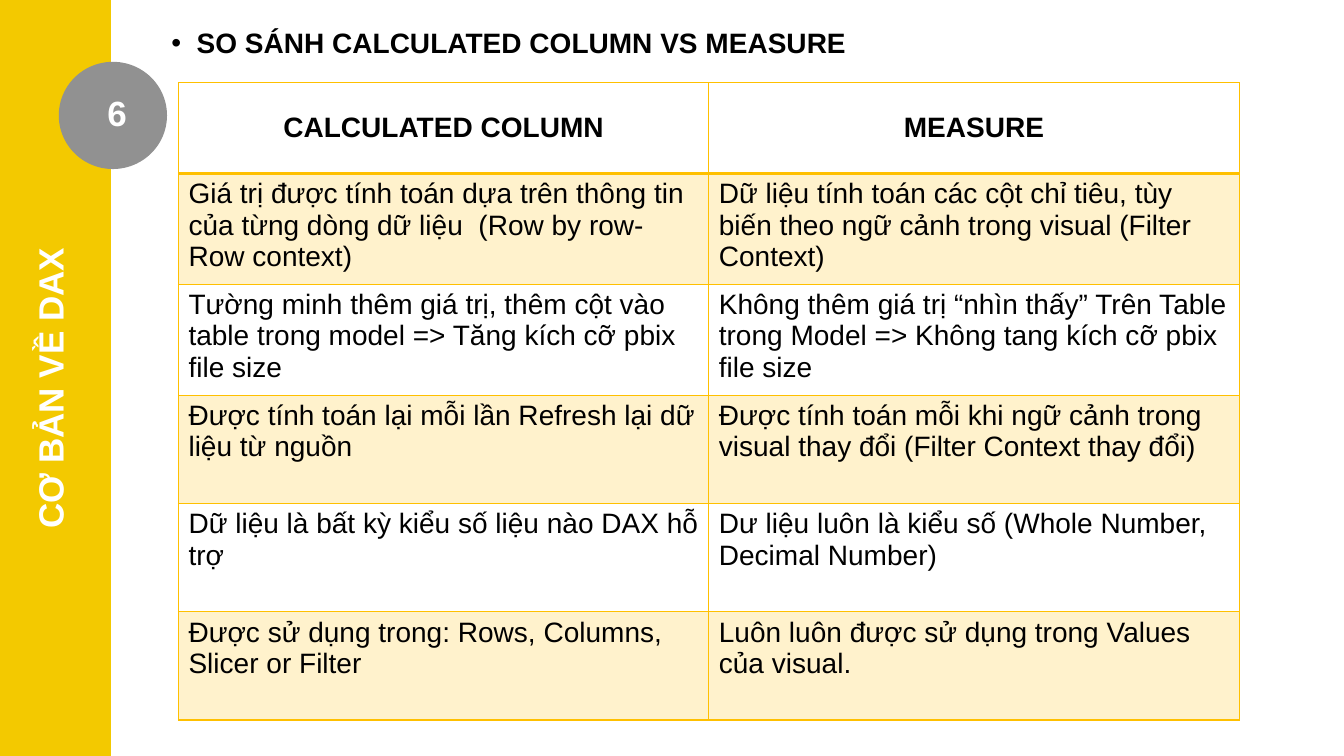
import pptx
import pptx.dml.color
import pptx.enum.shapes
import pptx.enum.text
import pptx.oxml
import pptx.oxml.ns
import pptx.util
from dataclasses import dataclass
from lxml import etree

Inches = pptx.util.Inches
ALIGN = pptx.enum.text.PP_ALIGN
ANCHOR = pptx.enum.text.MSO_ANCHOR
SHAPE = pptx.enum.shapes.MSO_SHAPE


@dataclass(frozen=True)
class Theme:
    """Colours and type sizes of the slide."""
    font: str = "Arial"
    band: str = "F3C900"
    badge: str = "919191"
    accent: str = "FFC000"
    dark: str = "000000"
    light: str = "FFFFFF"
    tint_percent: int = 20
    body_size: int = 20
    label_size: int = 25


THEME = Theme()

COMPARISON = [
    ("CALCULATED COLUMN", "MEASURE"),
    ("Giá trị được tính toán dựa trên thông tin của từng dòng dữ liệu  (Row by row- Row context)",
     "Dữ liệu tính toán các cột chỉ tiêu, tùy biến theo ngữ cảnh trong visual (Filter Context)"),
    ("Tường minh thêm giá trị, thêm cột vào table trong model => Tăng kích cỡ pbix file size",
     "Không thêm giá trị “nhìn thấy” Trên Table trong Model => Không tang kích cỡ pbix file size"),
    ("Được tính toán lại mỗi lần Refresh lại dữ liệu từ nguồn",
     "Được tính toán mỗi khi ngữ cảnh trong visual thay đổi (Filter Context thay đổi)"),
    ("Dữ liệu là bất kỳ kiểu số liệu nào DAX hỗ trợ",
     "Dư liệu luôn là kiểu số (Whole Number, Decimal Number)"),
    ("Được sử dụng trong: Rows, Columns, Slicer or Filter",
     "Luôn luôn được sử dụng trong Values của visual."),
]


def apply(target, values):
    """Set each attribute named in values on the target."""
    for name, value in values.items():
        setattr(target, name, value)


def rgb(colour):
    """Turn a hex string into a colour value."""
    return pptx.dml.color.RGBColor.from_string(colour)


def write(text_frame, text, size, colour, bold=True, align=ALIGN.LEFT):
    """Put one formatted paragraph in a text frame and return it."""
    paragraph = text_frame.paragraphs[0]
    paragraph.alignment = align
    run = paragraph.add_run()
    run.text = text
    apply(run.font, {"name": THEME.font, "size": pptx.util.Pt(size), "bold": bold})
    run.font.color.rgb = rgb(colour)
    return paragraph


def add_plain_shape(slide, kind, box, colour):
    """Draw a flat shape whose line matches its fill."""
    shape = slide.shapes.add_shape(kind, *map(Inches, box))
    shape.shadow.inherit = False
    shape.fill.solid()
    shape.fill.fore_color.rgb = rgb(colour)
    shape.line.color.rgb = rgb(colour)
    shape.line.width = pptx.util.Pt(1)


def add_label(slide, text, box, rotation=0):
    """Add a centred light label, turned by the given angle."""
    label = slide.shapes.add_textbox(*map(Inches, box))
    label.rotation = rotation
    apply(label.text_frame, {
        "word_wrap": True, "margin_left": 0, "margin_right": 0,
        "margin_top": Inches(0.08), "margin_bottom": Inches(0.08)})
    write(label.text_frame, text, THEME.label_size, THEME.light, align=ALIGN.CENTER)


def add_sidebar(slide, box):
    """Draw the side band with its section name and number badge."""
    left, top, width, height = box
    add_plain_shape(slide, SHAPE.RECTANGLE, box, THEME.band)
    add_plain_shape(slide, SHAPE.OVAL, (left + 0.59, top + 0.62, 1.06, 1.05), THEME.badge)
    add_label(slide, "6", (left + 0.92, top + 0.83, 0.48, 0.58))
    label_width, label_height = 4.73, 0.68
    add_label(slide, "CƠ BẢN VỀ DAX",
              (left + width / 2 - label_width / 2, top + height / 2 + 0.1 - label_height / 2,
               label_width, label_height), rotation=270)


def add_heading(slide, box):
    """Place the title as a bulleted heading."""
    title = slide.shapes.title
    apply(title, dict(zip(("left", "top", "width", "height"), map(Inches, box))))
    apply(title.text_frame, {
        "word_wrap": True, "vertical_anchor": ANCHOR.TOP,
        "auto_size": pptx.enum.text.MSO_AUTO_SIZE.NONE})
    paragraph = write(title.text_frame, "SO SÁNH CALCULATED COLUMN VS MEASURE",
                      THEME.body_size, THEME.dark)
    paragraph.line_spacing = 0.9
    properties = paragraph._p.get_or_add_pPr()
    properties.set("marL", str(Inches(0.25)))
    properties.set("indent", str(-Inches(0.25)))
    namespace = pptx.oxml.ns.qn
    etree.SubElement(properties, namespace("a:buFont")).set("typeface", THEME.font)
    etree.SubElement(properties, namespace("a:buChar")).set("char", "•")


def add_borders(cell, widths):
    """Draw accent borders of the given point widths around a cell."""
    properties = cell._tc.get_or_add_tcPr()
    for side, width in widths.items():
        line = etree.SubElement(properties, pptx.oxml.ns.qn(f"a:ln{side}"))
        line.set("w", str(pptx.util.Pt(width)))
        fill = etree.SubElement(line, pptx.oxml.ns.qn("a:solidFill"))
        etree.SubElement(fill, pptx.oxml.ns.qn("a:srgbClr")).set("val", THEME.accent)


def fill_cell(cell, tinted):
    """Give a cell a translucent accent tint or no fill."""
    if not tinted:
        cell.fill.background()
        return
    cell.fill.solid()
    cell.fill.fore_color.rgb = rgb(THEME.accent)
    colour = cell._tc.tcPr.find(pptx.oxml.ns.qn("a:solidFill"))[0]
    etree.SubElement(colour, pptx.oxml.ns.qn("a:alpha")).set("val", str(THEME.tint_percent * 1000))


def add_comparison(slide, box):
    """Build the two-column comparison table."""
    header_height = 0.9
    row_height = (box[3] - header_height) / (len(COMPARISON) - 1)
    table = slide.shapes.add_table(len(COMPARISON), 2, *map(Inches, box)).table
    apply(table, {"first_row": True, "horz_banding": False})
    for row_index, texts in enumerate(COMPARISON):
        header = row_index == 0
        table.rows[row_index].height = Inches(header_height if header else row_height)
        for column_index, text in enumerate(texts):
            cell = table.cell(row_index, column_index)
            cell.vertical_anchor = ANCHOR.MIDDLE if header else ANCHOR.TOP
            write(cell.text_frame, text, THEME.body_size, THEME.dark, bold=header,
                  align=ALIGN.CENTER if header else ALIGN.LEFT)
            add_borders(cell, {"L": 1, "R": 1, "T": 2 if row_index == 1 else 1,
                               "B": 2 if header else 1})
            fill_cell(cell, tinted=row_index % 2 == 1)


def main():
    """Create the slide and save the presentation."""
    presentation = pptx.Presentation()
    apply(presentation, {"slide_width": Inches(13.33), "slide_height": Inches(7.5)})
    slide = presentation.slides.add_slide(presentation.slide_layouts[5])
    add_sidebar(slide, (0, 0, 1.09, 7.5))
    add_heading(slide, (1.6, 0.24, 11.12, 0.5))
    add_comparison(slide, (1.77, 0.82, 10.52, 6.27))
    presentation.save("out.pptx")


if __name__ == "__main__":
    main()
